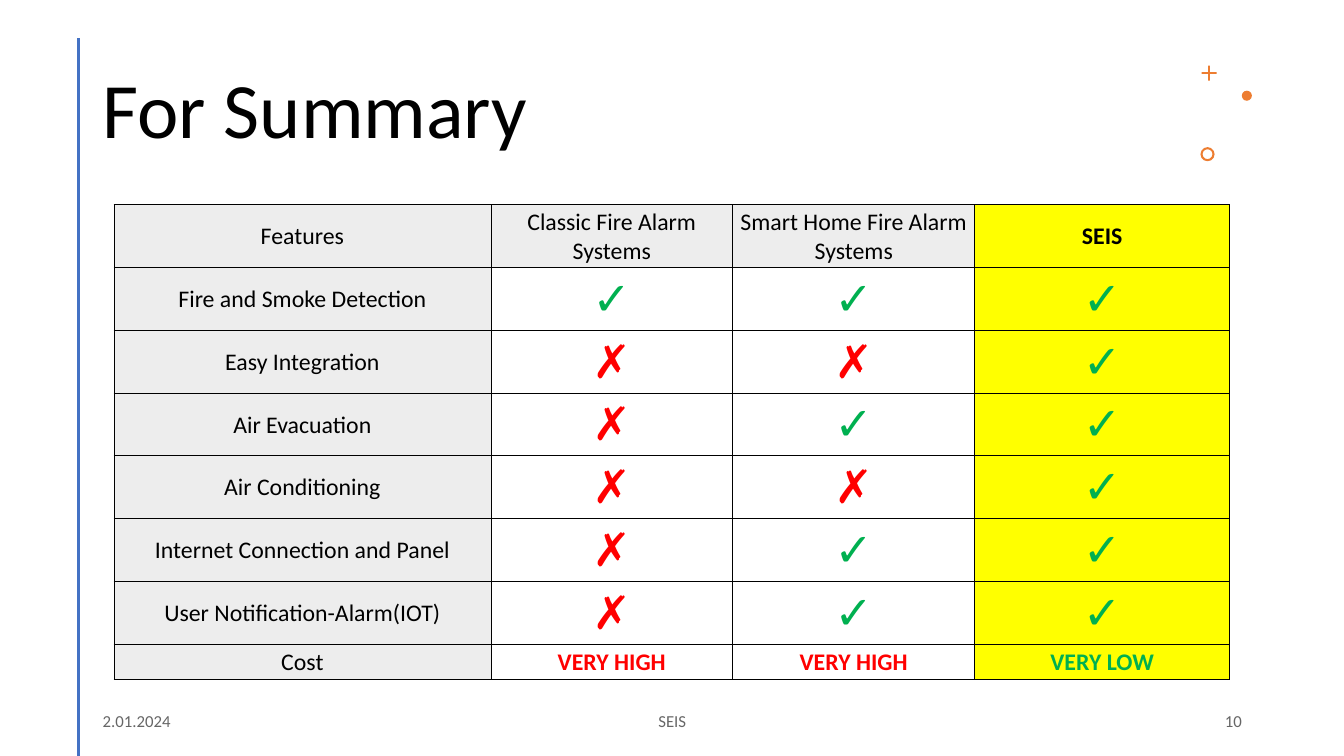
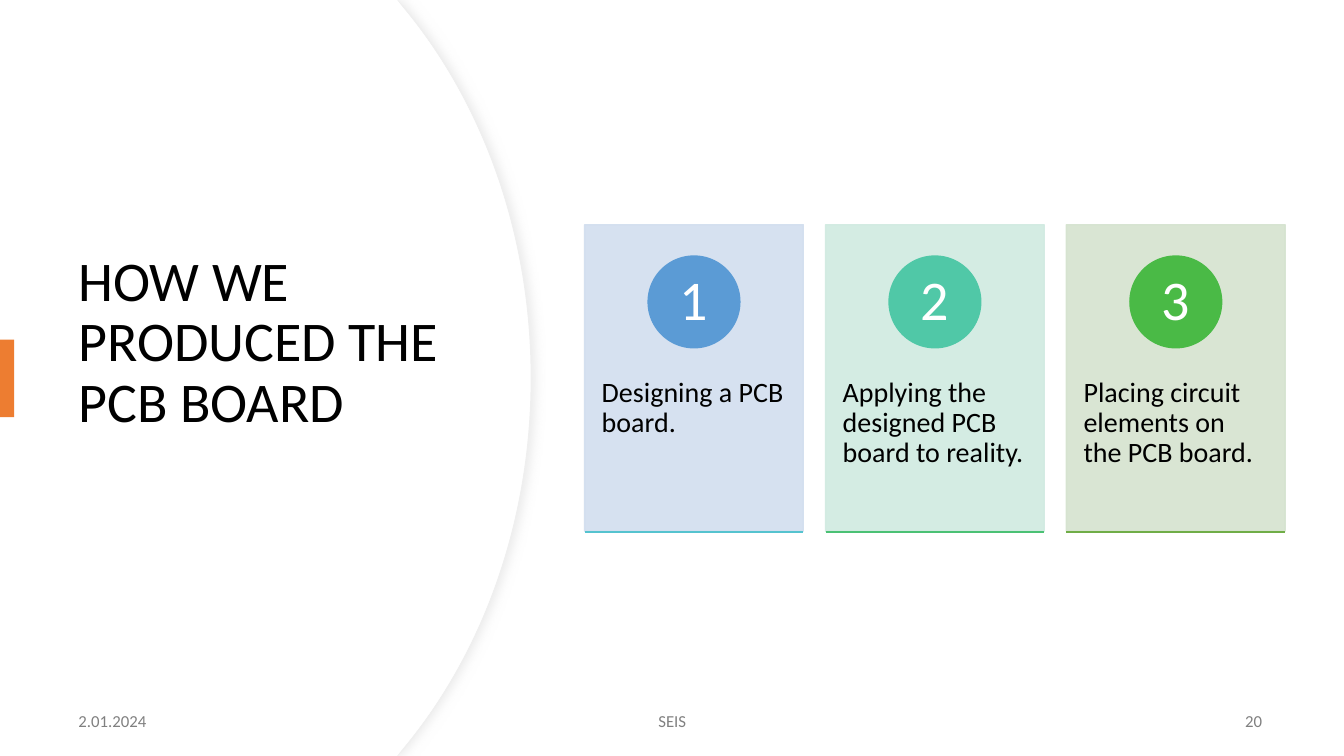
import pptx
import pptx.util
import pptx.dml.color
import pptx.enum.shapes
import pptx.enum.text
import pptx.oxml.ns
import lxml.etree

Inches, Pt = pptx.util.Inches, pptx.util.Pt
RGBColor = pptx.dml.color.RGBColor
Shape = pptx.enum.shapes.MSO_SHAPE
Align = pptx.enum.text.PP_ALIGN
Anchor = pptx.enum.text.MSO_ANCHOR
qn = pptx.oxml.ns.qn

# Shared style
BLACK = RGBColor(0x00, 0x00, 0x00)
WHITE = RGBColor(0xFF, 0xFF, 0xFF)
ORANGE = RGBColor(0xED, 0x7D, 0x31)
BLUE = RGBColor(0x44, 0x72, 0xC4)
YELLOW = RGBColor(0xFF, 0xFF, 0x00)
GREEN = RGBColor(0x00, 0xB0, 0x50)
RED = RGBColor(0xFF, 0x00, 0x00)
PALE_GREY = RGBColor(0xED, 0xED, 0xED)
EDGE_GREY = RGBColor(0xEF, 0xEF, 0xEF)
DARK_GREY = RGBColor(0x66, 0x66, 0x66)
MID_GREY = RGBColor(0x80, 0x80, 0x80)
FONT, SYMBOL_FONT = "Calibri", "Arial"
SLIDE_WIDTH, SLIDE_HEIGHT = 40 / 3, 7.5
DATE, PROJECT = "2.01.2024", "SEIS"

# Content
YES, NO = "✓", "✗"
COMPARISON = [
    ("Features", "Classic Fire Alarm Systems", "Smart Home Fire Alarm Systems", "SEIS"),
    ("Fire and Smoke Detection", YES, YES, YES),
    ("Easy Integration", NO, NO, YES),
    ("Air Evacuation", NO, YES, YES),
    ("Air Conditioning", NO, NO, YES),
    ("Internet Connection and Panel", NO, YES, YES),
    ("User Notification-Alarm(IOT)", NO, YES, YES),
    ("Cost", "VERY HIGH", "VERY HIGH", "VERY LOW"),
]
VALUE_COLORS = {YES: GREEN, NO: RED, "VERY HIGH": RED, "VERY LOW": GREEN}
COLUMN_WIDTHS = [3.74, 2.4, 2.4, 2.53]
TABLE_HEIGHT, COST_HEIGHT = 4.71, 0.35
ROW_HEIGHTS = [(TABLE_HEIGHT - COST_HEIGHT) / 7] * 7 + [COST_HEIGHT]

# Step text, card colour, circle colour, base line colour
STEPS = [
    ("Designing a PCB board.", RGBColor(0xD2, 0xDE, 0xEF),
     RGBColor(0x5B, 0x9B, 0xD5), RGBColor(0x55, 0xC3, 0xCF)),
    ("Applying the designed PCB board to reality.", RGBColor(0xD0, 0xEA, 0xE1),
     RGBColor(0x50, 0xC8, 0xA7), RGBColor(0x4B, 0xC1, 0x74)),
    ("Placing circuit elements on the PCB board.", RGBColor(0xD5, 0xE3, 0xCF),
     RGBColor(0x4A, 0xBA, 0x46), RGBColor(0x70, 0xAD, 0x47)),
]


def write(frame, text, size, color=BLACK, align=Align.LEFT, font=FONT, bold=False, spacing=None):
    para = frame.paragraphs[0]
    para.alignment = align
    if spacing:
        para.line_spacing = spacing
    span = para.add_run()
    span.text = text
    span.font.name, span.font.size = font, Pt(size)
    span.font.bold, span.font.color.rgb = bold, color


def add_text(page, place, text, size, **style):
    box = page.shapes.add_textbox(*map(Inches, place))
    box.text_frame.word_wrap = True
    box.text_frame.vertical_anchor = Anchor.MIDDLE
    write(box.text_frame, text, size, **style)


def paint(shape, fill, line=None, width=1):
    shape.shadow.inherit = False
    shape.fill.solid()
    shape.fill.fore_color.rgb = fill
    if line is None:
        shape.line.fill.background()
    else:
        shape.line.color.rgb = line
        shape.line.width = Pt(width)


def add_shape(page, kind, place, fill, line=None):
    shape = page.shapes.add_shape(kind, *map(Inches, place))
    paint(shape, fill, line)
    return shape


def add_line(page, start, end, color, width):
    line = page.shapes.add_connector(
        pptx.enum.shapes.MSO_CONNECTOR.STRAIGHT, *map(Inches, start + end))
    line.line.color.rgb, line.line.width = color, Pt(width)
    lxml.etree.SubElement(line._element.spPr, qn("a:effectLst"))


def set_frame(shape, margins, anchor):
    frame = shape.text_frame
    frame.word_wrap, frame.vertical_anchor = True, anchor
    (frame.margin_left, frame.margin_top,
     frame.margin_right, frame.margin_bottom) = map(Inches, margins)
    return frame


def set_alpha(element, percent):
    for color in list(element.iter(qn("a:srgbClr"))):
        lxml.etree.SubElement(color, qn("a:alpha"), val=str(percent * 1000))


def add_footer(page, number, color, left, number_left):
    for text, place, align in [
        (DATE, (left, 6.95, 3, 0.4), Align.LEFT),
        (PROJECT, (4.42, 6.95, 4.5, 0.4), Align.CENTER),
        (number, (number_left, 6.95, 3, 0.4), Align.RIGHT),
    ]:
        add_text(page, place, text, 12, color=color, align=align)


def add_title(page, place, text, size):
    add_text(page, place, text, size, spacing=0.9)


def add_borders(cell):
    properties = cell._tc.get_or_add_tcPr()
    for side in ("lnL", "lnR", "lnT", "lnB"):
        border = lxml.etree.SubElement(properties, qn("a:" + side), w=str(Pt(0.5)))
        fill = lxml.etree.SubElement(border, qn("a:solidFill"))
        lxml.etree.SubElement(fill, qn("a:srgbClr"), val=str(BLACK))


def fill_cell(cell, text, row, column):
    add_borders(cell)
    cell.vertical_anchor = Anchor.MIDDLE
    cell.margin_left = cell.margin_right = cell.margin_top = Inches(0.01)
    cell.margin_bottom = 0
    last = column == len(COLUMN_WIDTHS) - 1
    if last or row == 0 or column == 0:
        cell.fill.solid()
        cell.fill.fore_color.rgb = YELLOW if last else PALE_GREY
    else:
        cell.fill.background()
    is_mark = text in (YES, NO)
    write(cell.text_frame, text, 33 if is_mark else 17,
          color=VALUE_COLORS.get(text, BLACK), align=Align.CENTER,
          font=SYMBOL_FONT if is_mark else FONT,
          bold=not is_mark and (text in VALUE_COLORS or (last and row == 0)))


def add_comparison(page):
    frame = page.shapes.add_table(
        len(ROW_HEIGHTS), len(COLUMN_WIDTHS), Inches(1.13), Inches(2.03),
        Inches(sum(COLUMN_WIDTHS)), Inches(TABLE_HEIGHT))
    table = frame.table
    table.first_row = table.horz_banding = False
    for column, width in zip(table.columns, COLUMN_WIDTHS):
        column.width = Inches(width)
    for row, height in zip(table.rows, ROW_HEIGHTS):
        row.height = Inches(height)
    for row, texts in enumerate(COMPARISON):
        for column, text in enumerate(texts):
            fill_cell(table.cell(row, column), text, row, column)


def bend(segment, points):
    """Turn a straight outline segment into a cubic curve through control points."""
    segment.tag = qn("a:cubicBezTo")
    for child in list(segment):
        segment.remove(child)
    for x, y in points:
        lxml.etree.SubElement(segment, qn("a:pt"), x=str(Inches(x)), y=str(Inches(y)))


def add_curved_panel(page, right):
    """Panel whose right edge is a smooth arc, mirrored top to bottom."""
    arc = [(right - 1.26, 0.08), (right - 0.48, 1.02), (right, 2.32), (right, 3.75)]
    mirrored = [(x, SLIDE_HEIGHT - y) for x, y in reversed(arc)]
    corners = [(3.94, 0), arc[0], arc[-1], mirrored[-1],
               (3.94, SLIDE_HEIGHT), (0, SLIDE_HEIGHT)]
    builder = page.shapes.build_freeform(0, 0)
    builder.add_line_segments([(Inches(x), Inches(y)) for x, y in corners], close=True)
    panel = builder.convert_to_shape()
    segments = list(panel._element.iter(qn("a:lnTo")))
    bend(segments[2], arc[1:])
    bend(segments[3], mirrored[1:])
    return panel


def add_soft_shadow(shape):
    effects = shape._element.spPr.find(qn("a:effectLst"))
    shadow = lxml.etree.SubElement(
        effects, qn("a:outerShdw"), blurRad=str(Pt(7)), dist=str(Pt(3)), dir="0")
    lxml.etree.SubElement(shadow, qn("a:srgbClr"), val="D9D9D9")
    set_alpha(shadow, 50)


def add_step(page, index, text, card_color, circle_color, base_color):
    width, top, height, circle = 2.17, 2.23, 3.04, 0.91
    left = 5.8 + index * 2.39
    card = add_shape(page, Shape.RECTANGLE, (left, top, width, height), card_color, card_color)
    set_alpha(card._element.spPr, 90)
    write(set_frame(card, (0.17, 1.52, 0.17, 0.36), Anchor.TOP), text, 20, spacing=0.9)
    badge = add_shape(page, Shape.OVAL,
                      (left + (width - circle) / 2, top + 0.31, circle, circle),
                      circle_color, circle_color)
    write(set_frame(badge, (0, 0, 0, 0), Anchor.MIDDLE), str(index + 1), 40,
          color=WHITE, align=Align.CENTER, spacing=0.9)
    base = top + height + 0.01
    add_line(page, (left, base), (left + width, base), base_color, 1.5)


def build_summary(page):
    add_title(page, (0.92, 0.4, 10.76, 1.45), "For Summary", 56)
    add_line(page, (0.78, 0.38), (0.78, SLIDE_HEIGHT), BLUE, 2)
    # Corner ornaments
    plus = add_shape(page, Shape.CROSS, (11.92, 0.65, 0.15, 0.15), ORANGE)
    plus.adjustments[0] = 0.44
    add_shape(page, Shape.OVAL, (12.32, 0.9, 0.1, 0.1), ORANGE)
    ring = add_shape(page, Shape.DONUT, (11.91, 1.46, 0.14, 0.14), ORANGE)
    ring.adjustments[0] = 0.15
    add_footer(page, "10", DARK_GREY, 0.92, 9.42)
    add_comparison(page)


def build_process(page):
    # Curved panel with a fine edge
    outer = add_curved_panel(page, 5.27)
    paint(outer, WHITE, EDGE_GREY, 0.75)
    add_soft_shadow(outer)
    paint(add_curved_panel(page, 5.26), WHITE)
    add_title(page, (0.68, 1.27, 3.94, 4.28), "HOW WE PRODUCED THE PCB BOARD", 40)
    add_shape(page, Shape.RECTANGLE, (0, 3.37, 0.14, 0.77), ORANGE)
    add_footer(page, "20", MID_GREY, 0.68, 9.62)
    for index, step in enumerate(STEPS):
        add_step(page, index, *step)


def main():
    deck = pptx.Presentation()
    deck.slide_width, deck.slide_height = Inches(SLIDE_WIDTH), Inches(SLIDE_HEIGHT)
    for build in (build_summary, build_process):
        build(deck.slides.add_slide(deck.slide_layouts[6]))
    deck.save("out.pptx")


if __name__ == "__main__":
    main()
